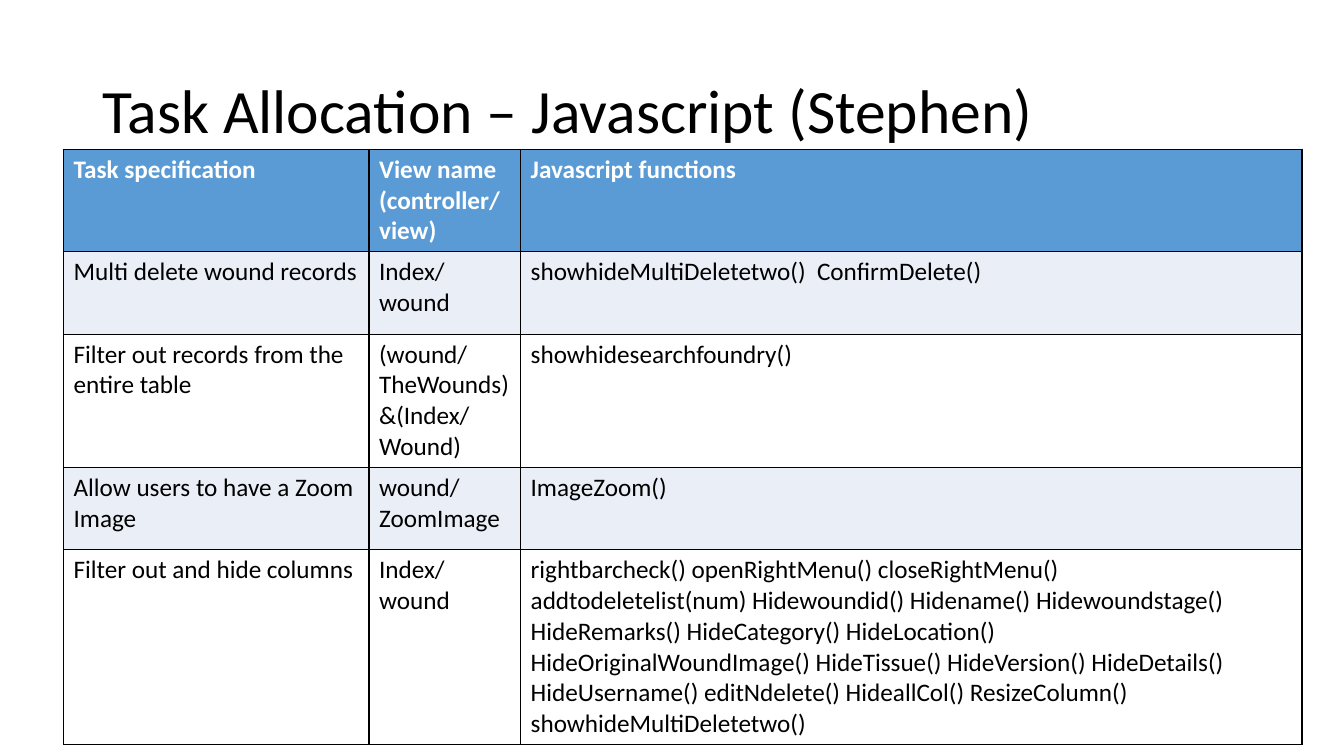
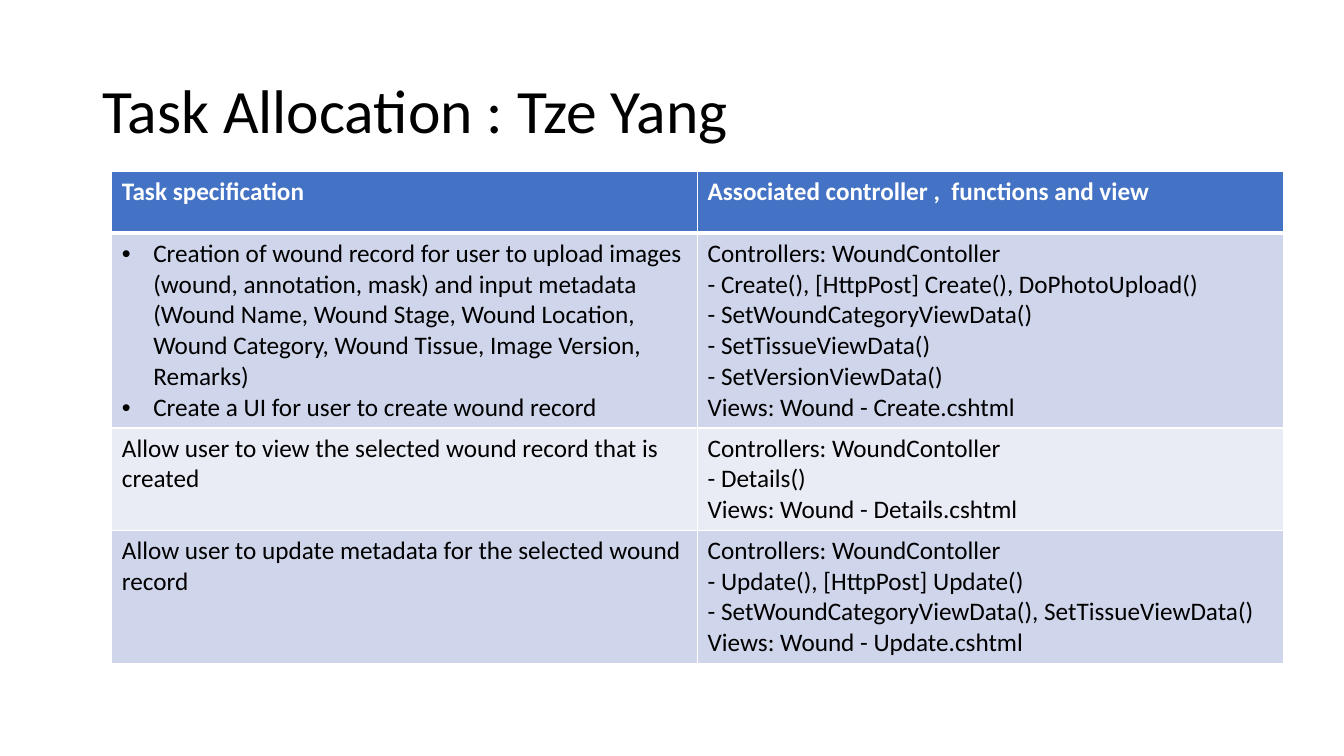
from lxml import etree
from pptx import Presentation
from pptx.dml.color import RGBColor
from pptx.enum import text
from pptx.oxml import ns
from pptx.util import Cm, Pt

FONT = "Calibri"
COLORS = {
    "ink": "000000", "paper": "FFFFFF",
    "sky": "5B9BD5", "sky_band": "EAEFF7",
    "blue": "4472C4", "blue_dark": "CFD5EA", "blue_light": "E9EBF5",
}
TITLE_BOX = (2.33, 1.01, 29.21, 3.68)
BULLET = "• "

SCRIPT_TASKS = [
    ("Task specification", "View name\n(controller/\nview)", "Javascript functions"),
    ("Multi delete wound records", "Index/ wound",
     "showhideMultiDeletetwo()  ConfirmDelete()"),
    ("Filter out records from the entire table",
     "(wound/TheWounds)\n&(Index/\nWound)", "showhidesearchfoundry()"),
    ("Allow users to have a Zoom Image", "wound/ZoomImage", "ImageZoom()"),
    ("Filter out and hide columns", "Index/\nwound",
     "rightbarcheck() openRightMenu() closeRightMenu()\n"
     "addtodeletelist(num) Hidewoundid() Hidename() Hidewoundstage() "
     "HideRemarks() HideCategory() HideLocation()\n"
     "HideOriginalWoundImage() HideTissue() HideVersion() HideDetails()\n"
     "HideUsername() editNdelete() HideallCol() ResizeColumn()\n"
     "showhideMultiDeletetwo()"),
]

RECORD_TASKS = [
    ("Task specification", "Associated controller ,  functions and view"),
    ("• Creation of wound record for user to upload images (wound, annotation, "
     "mask) and input metadata (Wound Name, Wound Stage, Wound Location, Wound "
     "Category, Wound Tissue, Image Version, Remarks)\n"
     "• Create a UI for user to create wound record",
     "Controllers: WoundContoller\n"
     "- Create(), [HttpPost] Create(), DoPhotoUpload()\n"
     "- SetWoundCategoryViewData()\n"
     "- SetTissueViewData()\n"
     "- SetVersionViewData()\n"
     "Views: Wound - Create.cshtml"),
    ("Allow user to view the selected wound record that is created",
     "Controllers: WoundContoller\n- Details()\nViews: Wound - Details.cshtml"),
    ("Allow user to update metadata for the selected wound record",
     "Controllers: WoundContoller\n"
     "- Update(), [HttpPost] Update()\n"
     "- SetWoundCategoryViewData(), SetTissueViewData()\n"
     "Views: Wound - Update.cshtml"),
]


def rgb(name):
    return RGBColor.from_string(COLORS[name])


def add_bullet(p):
    pPr = p._p.get_or_add_pPr()
    pPr.set("marL", str(Cm(0.79)))
    pPr.set("indent", str(-Cm(0.79)))
    etree.SubElement(pPr, ns.qn("a:buFont"), typeface="Arial")
    etree.SubElement(pPr, ns.qn("a:buChar"), char=BULLET.strip())


def write(tf, content, size=18, color="ink", bold=False, spacing=None):
    """Write one paragraph per line; a leading bullet sign makes a list item."""
    tf.word_wrap = True
    for i, line in enumerate(content.split("\n")):
        p = tf.paragraphs[0] if i == 0 else tf.add_paragraph()
        p.alignment = text.PP_ALIGN.LEFT
        if spacing:
            p.line_spacing = spacing
        if line.startswith(BULLET):
            add_bullet(p)
        r = p.add_run()
        r.text = line.removeprefix(BULLET)
        r.font.name, r.font.size, r.font.bold = FONT, Pt(size), bold
        r.font.color.rgb = rgb(color)


def set_borders(cell, color, **widths):
    """Draw the L, R, T and B borders, 1 pt wide unless a width is given."""
    tcPr = cell._tc.get_or_add_tcPr()
    for side in "LRTB":
        ln = etree.SubElement(tcPr, ns.qn(f"a:ln{side}"),
                              w=str(Pt(widths.get(side, 1))))
        fill = etree.SubElement(ln, ns.qn("a:solidFill"))
        etree.SubElement(fill, ns.qn("a:srgbClr"), val=COLORS[color])


def add_title(slide, content):
    sp = slide.shapes.title
    sp.left, sp.top, sp.width, sp.height = map(Cm, TITLE_BOX)
    tf = sp.text_frame
    tf.auto_size = text.MSO_AUTO_SIZE.NONE
    tf.vertical_anchor = text.MSO_ANCHOR.MIDDLE
    write(tf, content, size=44, spacing=0.9)


def add_task_table(slide, rows, left, top, widths, heights, header, bands,
                   border, rule=1):
    """Place a table; bands alternate below the header, rule is the line under it."""
    table = slide.shapes.add_table(
        len(rows), len(widths), Cm(left), Cm(top),
        Cm(sum(widths)), Cm(sum(heights))).table
    for col, width in zip(table.columns, widths):
        col.width = Cm(width)
    for i, (row, height) in enumerate(zip(rows, heights)):
        table.rows[i].height = Cm(height)
        is_header = i == 0
        for j, content in enumerate(row):
            cell = table.cell(i, j)
            set_borders(cell, border, B=rule if is_header else 1,
                        T=rule if i == 1 else 1)
            cell.fill.solid()
            cell.fill.fore_color.rgb = rgb(header if is_header else bands[(i - 1) % 2])
            write(cell.text_frame, content, bold=is_header,
                  color="paper" if is_header else "ink")


def add_task_slide(prs, title, rows, **table_format):
    slide = prs.slides.add_slide(prs.slide_layouts[5])
    add_title(slide, title)
    add_task_table(slide, rows, **table_format)


def main():
    prs = Presentation()
    prs.slide_width, prs.slide_height = Cm(33.87), Cm(19.05)
    add_task_slide(prs, "Task Allocation – Javascript (Stephen)", SCRIPT_TASKS,
                   left=1.6, top=3.76, widths=[7.7, 3.82, 19.69],
                   heights=[1.7] + [2.08] * 4, header="sky",
                   bands=("sky_band", "paper"), border="ink")
    add_task_slide(prs, "Task Allocation : Tze Yang", RECORD_TASKS,
                   left=2.82, top=4.33, widths=[14.76] * 2,
                   heights=[1.55] * 4, header="blue",
                   bands=("blue_dark", "blue_light"), border="paper", rule=3)
    prs.save("out.pptx")


if __name__ == "__main__":
    main()
